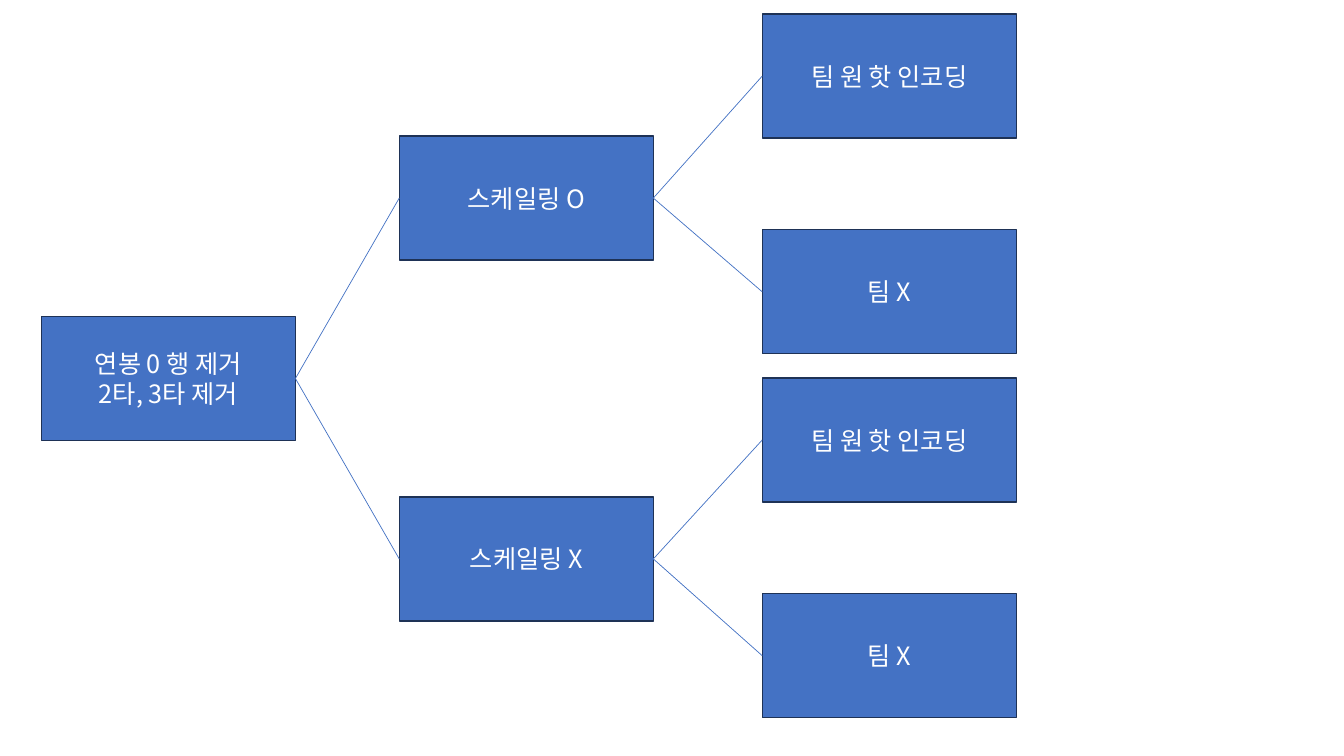
from lxml.etree import SubElement
from pptx import Presentation
from pptx.dml.color import RGBColor
from pptx.enum.shapes import MSO_CONNECTOR as CONNECTOR, MSO_SHAPE as SHAPE
from pptx.enum.text import MSO_ANCHOR as ANCHOR, PP_ALIGN as ALIGN
from pptx.oxml.ns import qn
from pptx.util import Inches, Pt

COLORS = {"box": "4472C4", "border": "1E3256", "link": "4472C4", "text": "FFFFFF"}
FONT = "Noto Sans CJK KR"
BOX_W, BOX_H = 2.52, 1.23
COLUMNS = [0.41, 3.96, 7.56]  # left edge of each tree level
RIGHT_SITE, LEFT_SITE = 3, 1  # connection sites of a rectangle

# Each node: text lines, top, children
TREE = (["연봉 0 행 제거", "2타, 3타 제거"], 3.14, [
    (["스케일링 O"], 1.35, [
        (["팀 원 핫 인코딩"], 0.14, []),
        (["팀 X"], 2.28, []),
    ]),
    (["스케일링 X"], 4.93, [
        (["팀 원 핫 인코딩"], 3.75, []),
        (["팀 X"], 5.89, []),
    ]),
])


def rgb(name):
    return RGBColor.from_string(COLORS[name])


def add_text(p, text, size=18, color="text", align=ALIGN.CENTER):
    p.alignment = align
    r = p.add_run()
    r.text = text
    r.font.size = Pt(size)
    r.font.name = FONT
    r.font.color.rgb = rgb(color)
    # Korean glyphs use the East Asian typeface
    SubElement(r.font._element, qn("a:ea")).set("typeface", FONT)


def add_box(s, lines, left, top):
    sp = s.shapes.add_shape(SHAPE.RECTANGLE, Inches(left), Inches(top),
                            Inches(BOX_W), Inches(BOX_H))
    sp.shadow.inherit = False
    sp.fill.solid()
    sp.fill.fore_color.rgb = rgb("box")
    sp.line.color.rgb = rgb("border")
    sp.line.width = Pt(1)
    tf = sp.text_frame
    tf.word_wrap = True
    tf.vertical_anchor = ANCHOR.MIDDLE
    for i, line in enumerate(lines):
        add_text(tf.add_paragraph() if i else tf.paragraphs[0], line)
    return sp


def add_link(s, parent, child):
    line = s.shapes.add_connector(CONNECTOR.STRAIGHT, 0, 0, 0, 0)
    line.begin_connect(parent, RIGHT_SITE)
    line.end_connect(child, LEFT_SITE)
    line.line.color.rgb = rgb("link")
    line.line.width = Pt(0.5)
    SubElement(line._element.spPr, qn("a:effectLst"))


def add_branch(s, node, level=0):
    lines, top, children = node
    box = add_box(s, lines, COLUMNS[level], top)
    for child in children:
        add_link(s, box, add_branch(s, child, level + 1))
    return box


def main():
    prs = Presentation()
    prs.slide_width, prs.slide_height = Inches(13.33), Inches(7.5)
    s = prs.slides.add_slide(prs.slide_layouts[6])  # blank: no title here

    # Preprocessing decision tree
    add_branch(s, TREE)
    prs.save("out.pptx")


main()
